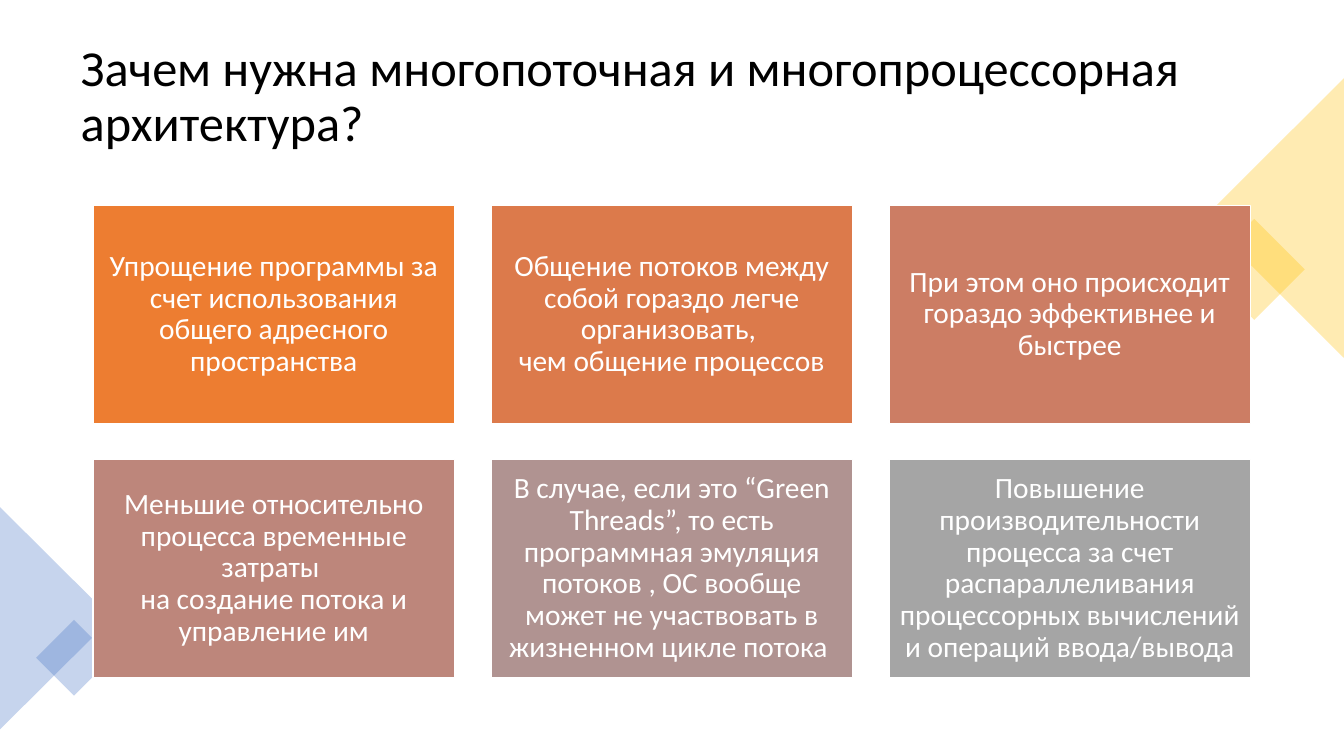
from pptx import Presentation
from pptx.dml.color import RGBColor
from pptx.enum.shapes import MSO_SHAPE
from pptx.enum.text import MSO_ANCHOR, MSO_AUTO_SIZE, PP_ALIGN
from pptx.oxml.ns import qn
from pptx.util import Cm, Pt
from lxml import etree

RECTANGLE = MSO_SHAPE.RECTANGLE
TRIANGLE = MSO_SHAPE.ISOSCELES_TRIANGLE
MIDDLE = MSO_ANCHOR.MIDDLE
NO_AUTOFIT = MSO_AUTO_SIZE.NONE
LEFT = PP_ALIGN.LEFT
CENTER = PP_ALIGN.CENTER

BLACK = RGBColor(0x00, 0x00, 0x00)
WHITE = RGBColor(0xFF, 0xFF, 0xFF)
GOLD = RGBColor(0xFF, 0xC0, 0x00)
BLUE = RGBColor(0x44, 0x72, 0xC4)
ORANGE = RGBColor(0xED, 0x7D, 0x31)
TERRACOTTA = RGBColor(0xDC, 0x7A, 0x4B)
CORAL = RGBColor(0xCC, 0x7D, 0x64)
ROSE = RGBColor(0xBD, 0x86, 0x7B)
MAUVE = RGBColor(0xB0, 0x93, 0x91)
GRAY = RGBColor(0xA5, 0xA5, 0xA5)

TITLE = "Зачем нужна многопоточная и многопроцессорная архитектура?"

DECORATIONS = [
    (RECTANGLE, 30.71, 5.89, 1.8, 1.8, 45, GOLD),
    (TRIANGLE, 28.58, 3.73, 7.04, 3.53, 270, GOLD),
    (TRIANGLE, -1.4, 14.17, 5.61, 2.82, 90, BLUE),
    (RECTANGLE, 1.19, 15.9, 1.35, 1.35, 45, BLUE),
]

REASONS = [
    ("Упрощение программы за счет использования общего адресного пространства", ORANGE),
    ("Общение потоков между собой гораздо легче организовать, \nчем общение процессов", TERRACOTTA),
    ("При этом оно происходит гораздо эффективнее и быстрее", CORAL),
    ("Меньшие относительно процесса временные затраты \nна создание потока и управление им", ROSE),
    ("В случае, если это “Green Threads”, то есть программная эмуляция потоков , "
     "ОС вообще может не участвовать в жизненном цикле потока ", MAUVE),
    ("Повышение производительности процесса за счет распараллеливания "
     "процессорных вычислений и операций ввода/вывода", GRAY),
]

COLUMNS = 3
GRID_LEFT, GRID_TOP = 2.34, 5.18
CARD_WIDTH, CARD_HEIGHT = 9.12, 5.49
CARD_GAP = 0.91


def apply(target, values):
    for name, value in values.items():
        setattr(target, name, value)


class SlideBuilder:
    font_name = "Calibri"
    line_spacing = 0.9
    title_size = Pt(36)
    card_size = Pt(21)
    card_margin = Cm(0.23)
    decoration_opacity = 30

    def __init__(self, presentation):
        self.slide = presentation.slides.add_slide(presentation.slide_layouts[5])

    def set_text(self, shape, text, size, color, alignment, **frame_format):
        frame = shape.text_frame
        apply(frame, {"word_wrap": True, "auto_size": NO_AUTOFIT,
                      "vertical_anchor": MIDDLE, **frame_format})
        paragraph = frame.paragraphs[0]
        paragraph.text = text
        apply(paragraph, {"alignment": alignment, "line_spacing": self.line_spacing})
        for run in paragraph.runs:
            apply(run.font, {"name": self.font_name, "size": size})
            run.font.color.rgb = color

    def title(self, text, left, top, width, height):
        shape = self.slide.shapes.title
        apply(shape, {"left": Cm(left), "top": Cm(top),
                      "width": Cm(width), "height": Cm(height)})
        self.set_text(shape, text, self.title_size, BLACK, LEFT)

    def filled_shape(self, kind, left, top, width, height, color):
        shape = self.slide.shapes.add_shape(kind, Cm(left), Cm(top), Cm(width), Cm(height))
        shape.shadow.inherit = False
        shape.fill.solid()
        shape.fill.fore_color.rgb = color
        return shape

    def decoration(self, kind, left, top, width, height, rotation, color):
        shape = self.filled_shape(kind, left, top, width, height, color)
        shape.rotation = rotation
        shape.line.fill.background()
        fill_color = shape.element.spPr.find(qn("a:solidFill"))[0]
        alpha = etree.SubElement(fill_color, qn("a:alpha"))
        alpha.set("val", str(self.decoration_opacity * 1000))

    def card(self, text, left, top, color):
        shape = self.filled_shape(RECTANGLE, left, top, CARD_WIDTH, CARD_HEIGHT, color)
        shape.line.color.rgb = WHITE
        shape.line.width = Pt(1)
        sides = ("left", "top", "right", "bottom")
        margins = {f"margin_{side}": self.card_margin for side in sides}
        self.set_text(shape, text, self.card_size, WHITE, CENTER, **margins)


def main():
    presentation = Presentation()
    apply(presentation, {"slide_width": Cm(33.87), "slide_height": Cm(19.05)})
    builder = SlideBuilder(presentation)
    builder.title(TITLE, 1.78, 0.89, 30.3, 3.15)
    for decoration in DECORATIONS:
        builder.decoration(*decoration)
    for index, (text, color) in enumerate(REASONS):
        row, column = divmod(index, COLUMNS)
        left = GRID_LEFT + column * (CARD_WIDTH + CARD_GAP)
        top = GRID_TOP + row * (CARD_HEIGHT + CARD_GAP)
        builder.card(text, left, top, color)
    presentation.save("out.pptx")


if __name__ == "__main__":
    main()
